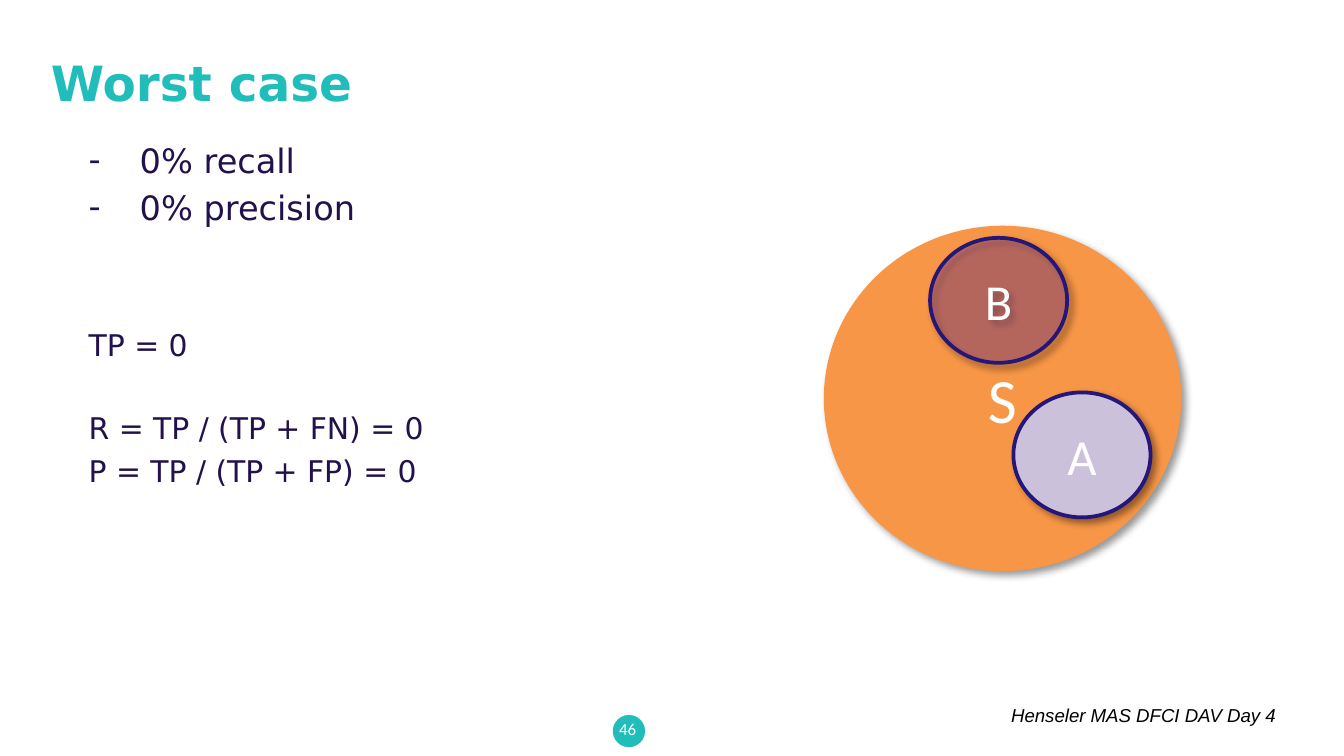
from lxml import etree
from pptx import Presentation
from pptx.dml.color import RGBColor
from pptx.enum import shapes, text
from pptx.oxml import ns
from pptx.util import Inches, Pt

TEAL = RGBColor(0x20, 0xBD, 0xBA)
INK = RGBColor(0x23, 0x11, 0x4C)
NAVY = RGBColor(0x25, 0x16, 0x7A)
ORANGE = RGBColor(0xF7, 0x96, 0x46)
LILAC = RGBColor(0xCC, 0xC1, 0xDA)
PURPLE = RGBColor(0x70, 0x30, 0xA0)
WHITE = RGBColor(0xFF, 0xFF, 0xFF)
BLACK = RGBColor(0, 0, 0)
LEFT, CENTER, RIGHT = text.PP_ALIGN.LEFT, text.PP_ALIGN.CENTER, text.PP_ALIGN.RIGHT
TOP, MIDDLE = text.MSO_ANCHOR.TOP, text.MSO_ANCHOR.MIDDLE
BODY_FONT = "DejaVu Sans"

# Content: text, size, space before, dash bullet
BODY = [
    ("0% recall", 18, 0, True),
    ("0% precision", 18, 3.7, True),
    ("TP = 0", 16, 53, False),
    ("R = TP / (TP + FN) = 0", 16, 25.6, False),
    ("P = TP / (TP + FP) = 0", 16, 3.7, False),
]
# Box, text, alignment, anchor, font
LABELS = [
    ((4.45, 5.27, 0.44, 0.3), "46", CENTER, MIDDLE,
     {"size": Pt(9), "name": "Calibri", "color": WHITE}),
    ((5.06, 5.19, 4.53, 0.27), "Henseler MAS DFCI DAV Day 4", RIGHT, TOP,
     {"size": Pt(10), "name": "Arial", "color": BLACK, "italic": True}),
    ((0.28, 0.22, 9, 0.78), "Worst case", LEFT, MIDDLE,
     {"size": Pt(26), "name": BODY_FONT, "color": TEAL, "bold": True}),
]
# Box, letter, size, fill, opacity in percent, outlined
SETS = [
    ((6.13, 1.68, 2.66, 2.57), "S", 33.8, ORANGE, 100, False),
    ((7.54, 2.92, 1.02, 0.93), "A", 27, LILAC, 100, True),
    ((6.92, 1.77, 1.02, 0.93), "B", 27, PURPLE, 33, True),
]

# Widescreen slide, 16 to 9
prs = Presentation()
prs.slide_width = Inches(10)
prs.slide_height = Inches(10 * 9 / 16)
slide = prs.slides.add_slide(prs.slide_layouts[6])


def set_font(font, values):
    for key, value in values.items():
        if key == "color":
            font.color.rgb = value
        else:
            setattr(font, key, value)


def write(frame, words, align, anchor, font):
    frame.word_wrap = True
    frame.vertical_anchor = anchor
    paragraph = frame.paragraphs[0]
    paragraph.text, paragraph.alignment = words, align
    set_font(paragraph.font, font)


def add_box(box):
    return slide.shapes.add_textbox(*map(Inches, box)).text_frame


def add_oval(box, fill, outlined=False):
    oval = slide.shapes.add_shape(shapes.MSO_SHAPE.OVAL, *map(Inches, box))
    oval.shadow.inherit = False
    oval.fill.solid()
    oval.fill.fore_color.rgb = fill
    if outlined:
        oval.line.color.rgb, oval.line.width = NAVY, Pt(2)
    else:
        oval.line.fill.background()
    return oval


def add_alpha(color, percent):
    etree.SubElement(color, ns.qn("a:alpha"), val=str(percent * 1000))


def cast_shadow(shape):
    effects = shape._element.spPr.find(ns.qn("a:effectLst"))
    shadow = etree.SubElement(
        effects, ns.qn("a:outerShdw"), blurRad=str(Pt(4)), dist=str(Pt(3)),
        dir=str(45 * 60000), algn="ctr", rotWithShape="0")
    add_alpha(etree.SubElement(shadow, ns.qn("a:srgbClr"), val=str(BLACK)), 40)


# Page number disc, footer and title
add_oval((4.56, 5.32, 0.24, 0.24), TEAL)
for box, words, align, anchor, font in LABELS:
    write(add_box(box), words, align, anchor, font)

# Sample space S with the two disjoint sets
for box, letter, size, fill, opacity, outlined in SETS:
    oval = add_oval(box, fill, outlined)
    cast_shadow(oval)
    if opacity < 100:
        add_alpha(oval._element.spPr.find(".//" + ns.qn("a:srgbClr")), opacity)
    write(oval.text_frame, letter, CENTER, MIDDLE,
          {"size": Pt(size), "name": "Calibri", "color": WHITE})

# Body: results and formulas
body = add_box((0.59, 1, 9, 3.54))
body.word_wrap = True
body.margin_left = body.margin_right = Inches(0.07)
body.margin_top = body.margin_bottom = Inches(0.04)
for i, (words, size, before, dashed) in enumerate(BODY):
    paragraph = body.add_paragraph() if i else body.paragraphs[0]
    paragraph.text = words
    paragraph.space_before = Pt(before)
    if dashed:
        props = paragraph._p.get_or_add_pPr()
        props.set("marL", str(Inches(0.38)))
        props.set("indent", str(-Inches(0.38)))
        etree.SubElement(props, ns.qn("a:buFont"), typeface=BODY_FONT)
        etree.SubElement(props, ns.qn("a:buChar"), char="-")
    set_font(paragraph.font, {"size": Pt(size), "name": BODY_FONT, "color": INK})

prs.save("out.pptx")
